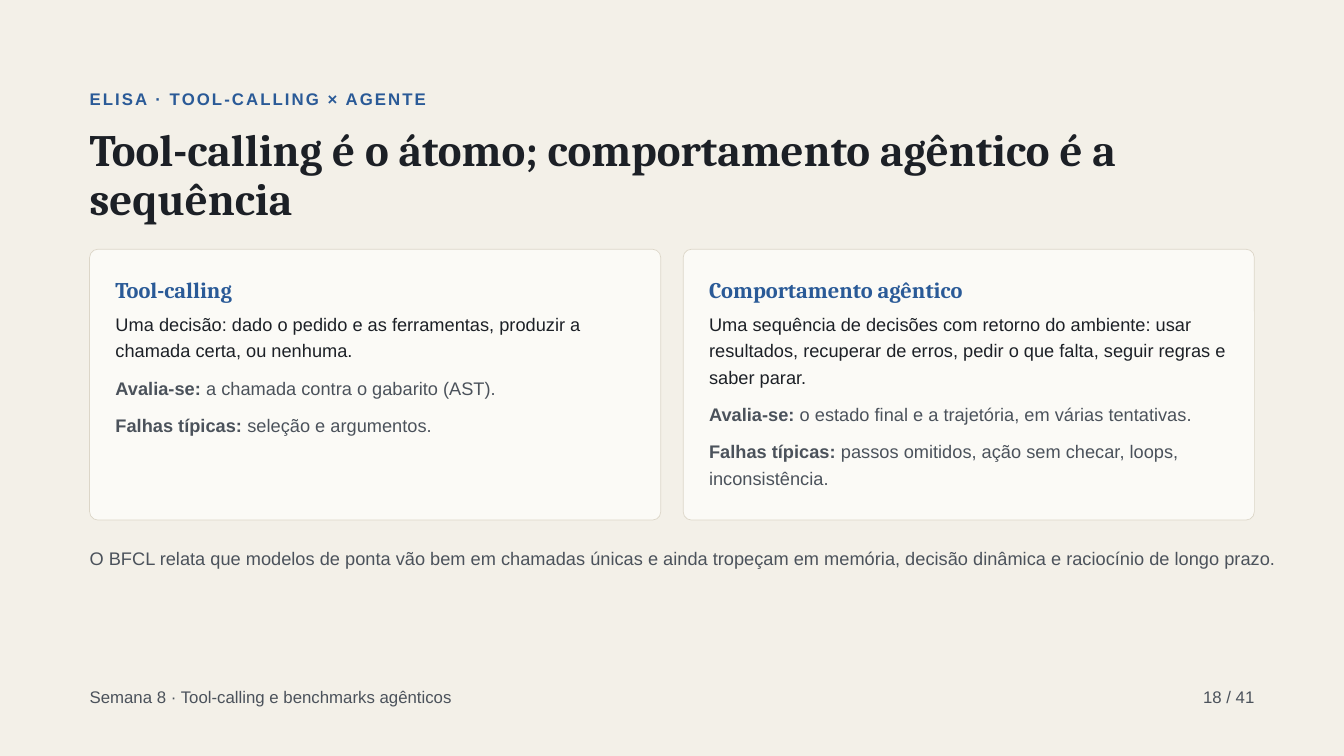
from dataclasses import dataclass
from pptx import Presentation
from pptx.dml.color import RGBColor as RGB
from pptx.enum.shapes import MSO_SHAPE as SHAPE
from pptx.enum.text import MSO_ANCHOR as ANCHOR, MSO_AUTO_SIZE as FIT, PP_ALIGN as ALIGN
from pptx.util import Pt


@dataclass(frozen=True)
class Theme:
    bg: RGB = RGB.from_string("F3F0E8")
    card: RGB = RGB.from_string("FBFAF6")
    border: RGB = RGB.from_string("DCD6C8")
    ink: RGB = RGB.from_string("1C2026")
    muted: RGB = RGB.from_string("4B525B")
    accent: RGB = RGB.from_string("2A5A97")
    serif: str = "Cambria"
    sans: str = "Arial"
    title: tuple = (48, 52.8)
    heading: tuple = (24, 28.8)
    body: tuple = (19.5, 28.3)
    small: tuple = (18, 25.2)


T = Theme()
PX = 9525
LEFT, TEXT_W = 128, 1714
CARD_W, CARD_H, CARD_GAP, CARD_TOP, RADIUS = 816, 387, 32, 356, 12
PAD, LINE_H, PARA_GAP = 37, 38, 15


def put(s, x, y, w, h):
    s.left, s.top, s.width, s.height = (v * PX for v in (x, y, w, h))


def write(box, size, color, *parts, font=T.sans, bold=False, align=ALIGN.LEFT):
    tf = box.text_frame
    tf.margin_left = tf.margin_top = tf.margin_right = tf.margin_bottom = 0
    tf.word_wrap = True
    tf.auto_size = FIT.SHAPE_TO_FIT_TEXT
    tf.vertical_anchor = ANCHOR.TOP
    p = tf.paragraphs[0]
    p.alignment = align
    p.line_spacing = Pt(size[1])
    p.font.name, p.font.size, p.font.bold = font, Pt(size[0]), bold
    p.font.color.rgb = color
    for text in parts:
        p.add_run().text = text
    return p


prs = Presentation()
prs.slide_width, prs.slide_height = 1920 * PX, 1080 * PX
slide = prs.slides.add_slide(prs.slide_layouts[5])
slide.background.fill.solid()
slide.background.fill.fore_color.rgb = T.bg
shapes = slide.shapes

put(shapes.title, LEFT, 180, TEXT_W, 140)
write(shapes.title, T.title, T.ink,
      "Tool-calling é o átomo; comportamento agêntico é a sequência",
      font=T.serif, bold=True)

kicker = shapes.add_textbox(0, 0, 0, 0)
put(kicker, LEFT, 122, TEXT_W, 43)
p = write(kicker, T.small, T.accent, "ELISA · TOOL-CALLING × AGENTE", bold=True)
p.runs[0]._r.get_or_add_rPr().set("spc", "220")

cards = [
    ("Tool-calling", [
        (2, "Uma decisão: dado o pedido e as ferramentas, produzir a chamada certa, ou nenhuma."),
        (1, "Avalia-se:", " a chamada contra o gabarito (AST)."),
        (1, "Falhas típicas:", " seleção e argumentos."),
    ]),
    ("Comportamento agêntico", [
        (3, "Uma sequência de decisões com retorno do ambiente: usar resultados, "
            "recuperar de erros, pedir o que falta, seguir regras e saber parar."),
        (1, "Avalia-se:", " o estado final e a trajetória, em várias tentativas."),
        (2, "Falhas típicas:", " passos omitidos, ação sem checar, loops, inconsistência."),
    ]),
]
for i, (heading, items) in enumerate(cards):
    x = LEFT + i * (CARD_W + CARD_GAP)
    s = shapes.add_shape(SHAPE.ROUNDED_RECTANGLE, 0, 0, 0, 0)
    put(s, x, CARD_TOP, CARD_W, CARD_H)
    s.adjustments[0] = RADIUS / CARD_H
    s.shadow.inherit = False
    s.fill.solid()
    s.fill.fore_color.rgb = T.card
    s.line.color.rgb = T.border
    s.line.width = Pt(0.75)

    box = shapes.add_textbox(0, 0, 0, 0)
    put(box, x + PAD, 394, 764, 42)
    write(box, T.heading, T.accent, heading, font=T.serif, bold=True)

    y = 441
    for lines, *parts in items:
        labelled = len(parts) == 2
        box = shapes.add_textbox(0, 0, 0, 0)
        put(box, x + PAD, y, 764, lines * LINE_H + 11)
        p = write(box, T.body, T.muted if labelled else T.ink, *parts)
        if labelled:
            p.runs[0].font.bold = True
        y += lines * LINE_H + PARA_GAP

notes = [
    (LEFT, 776, TEXT_W, 86, T.body, ALIGN.LEFT,
     "O BFCL relata que modelos de ponta vão bem em chamadas únicas e ainda tropeçam "
     "em memória, decisão dinâmica e raciocínio de longo prazo."),
    (LEFT, 976, 1133, 43, T.small, ALIGN.LEFT, "Semana 8 · Tool-calling e benchmarks agênticos"),
    (1584, 976, 208, 43, T.small, ALIGN.RIGHT, "18 / 41"),
]
for x, y, w, h, size, align, text in notes:
    box = shapes.add_textbox(0, 0, 0, 0)
    put(box, x, y, w, h)
    write(box, size, T.muted, text, align=align)

prs.save("out.pptx")
